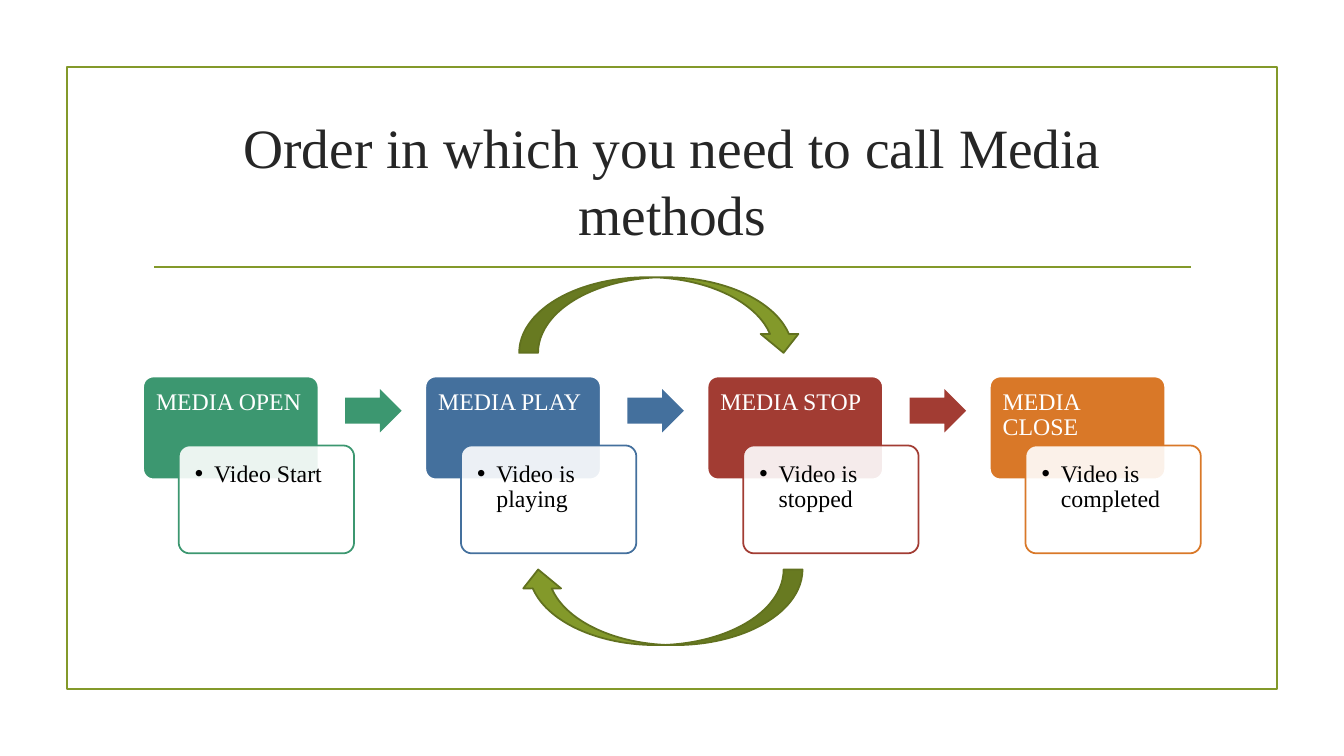
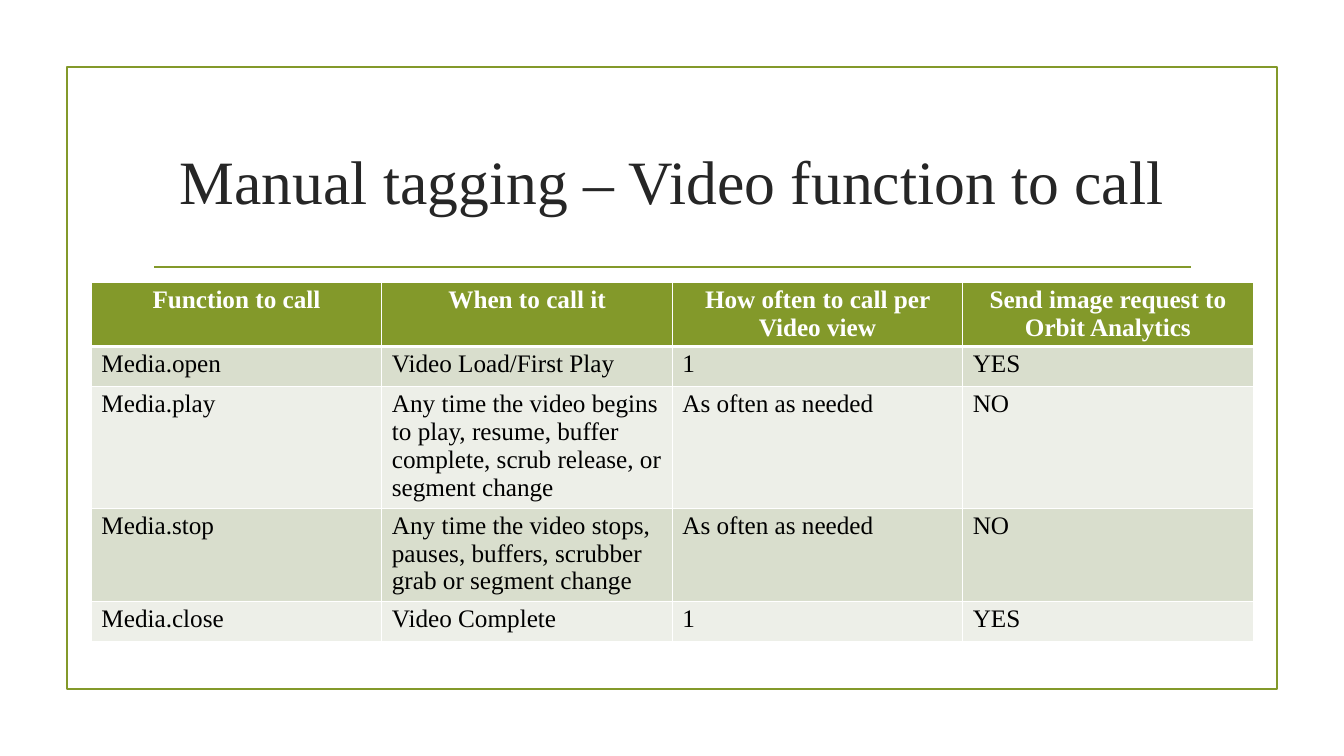
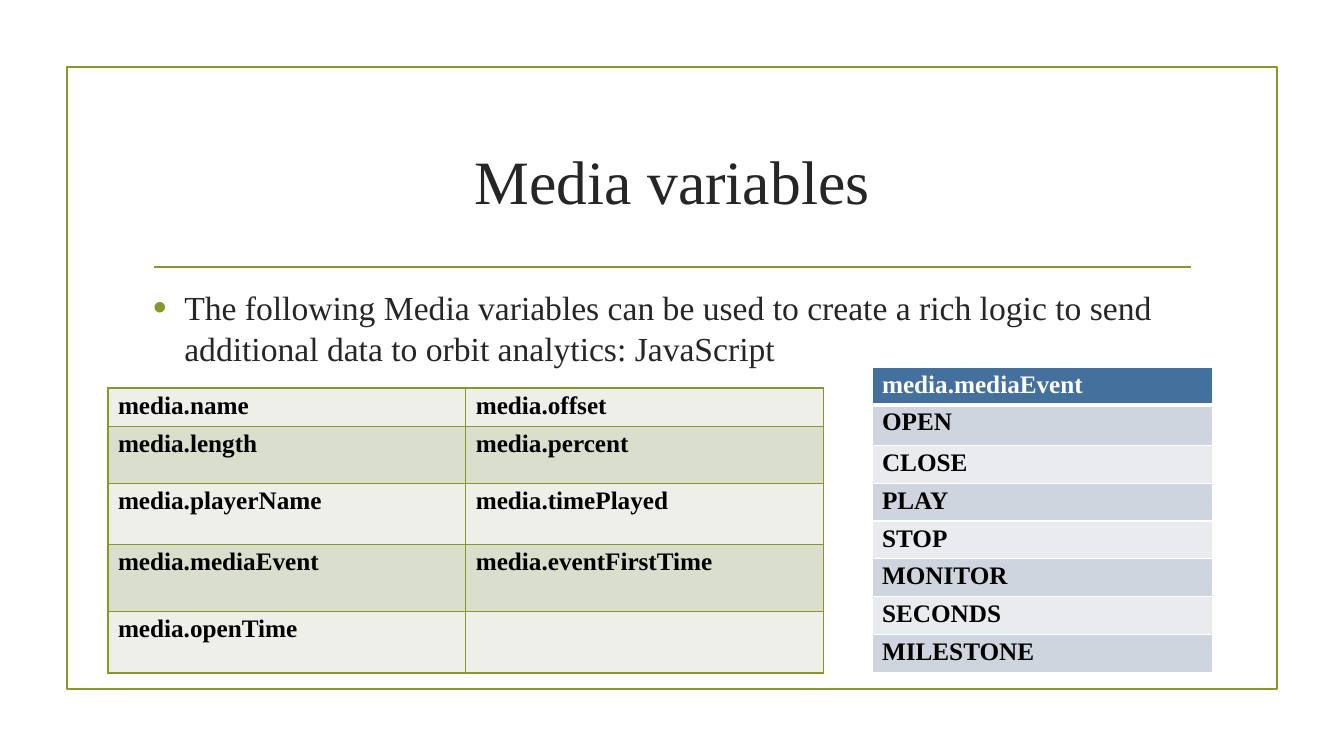
from lxml.etree import SubElement as Sub
from pptx import Presentation
from pptx.dml.color import RGBColor as RGB
from pptx.enum.shapes import MSO_CONNECTOR as CONN, MSO_SHAPE as SHAPE
from pptx.enum.text import MSO_ANCHOR as ANCHOR, PP_ALIGN as ALIGN
from pptx.oxml import parse_xml
from pptx.oxml.ns import nsdecls, qn
from pptx.util import Inches, Pt

FONT = "Times New Roman"
OLIVE = RGB(0x83, 0x99, 0x2A)
DARK_OLIVE = RGB(0x61, 0x71, 0x1F)
GREEN = RGB(0x3C, 0x97, 0x70)
BLUE = RGB(0x44, 0x70, 0x9D)
RED = RGB(0xA2, 0x3C, 0x33)
ORANGE = RGB(0xD9, 0x78, 0x28)
INK = RGB(0x26, 0x26, 0x26)
BLACK = RGB(0, 0, 0)
WHITE = RGB(0xFF, 0xFF, 0xFF)
OLIVE_BANDS = RGB(0xD9, 0xDE, 0xCD), RGB(0xED, 0xEF, 0xE8)
BLUE_BANDS = RGB(0xCF, 0xD5, 0xDF), RGB(0xE9, 0xEB, 0xEF)

prs = Presentation()
prs.slide_width, prs.slide_height = Inches(13.33), Inches(7.5)
W, H = prs.slide_width, prs.slide_height


def box(x, y, w, h):
    return int(W * x / 100), int(H * y / 100), int(W * w / 100), int(H * h / 100)


def write(p, text, size, color, bold=False, indent=0, bullet=None, bullet_size=100):
    p.text = text
    p.font.name, p.font.size, p.font.bold = FONT, Pt(size), bold
    p.font.color.rgb = color
    if bullet is not None:
        pPr = p._p.get_or_add_pPr()
        pPr.set("marL", str(Inches(indent)))
        pPr.set("indent", str(-Inches(indent)))
        for tag in (
            f'<a:buClr {nsdecls("a")}><a:srgbClr val="{bullet}"/></a:buClr>',
            f'<a:buSzPct {nsdecls("a")} val="{bullet_size * 1000}"/>',
            f'<a:buFont {nsdecls("a")} typeface="Arial"/>',
            f'<a:buChar {nsdecls("a")} char="•"/>',
        ):
            pPr.find(qn("a:defRPr")).addprevious(parse_xml(tag))


layout = prs.slide_layouts[5]
titles = [
    ("Order in which you need to call Media methods", 39.6),
    ("Manual tagging – Video function to call", 44),
    ("Media variables", 44),
]
slides = []
for text, size in titles:
    s = prs.slides.add_slide(layout)
    title = s.shapes.title
    title.left, title.top, title.width, title.height = box(10.65, 14.27, 78.75, 19.07)
    tf = title.text_frame
    tf.word_wrap, tf.vertical_anchor = True, ANCHOR.MIDDLE
    write(tf.paragraphs[0], text, size, INK)
    tf.paragraphs[0].alignment = ALIGN.CENTER
    slides.append(s)
order, calls, variables = slides

frame = order.shapes.add_shape(SHAPE.RECTANGLE, *box(4.97, 8.9, 90.03, 82.3))
frame.shadow.inherit = False
frame.fill.background()
left, top, width, _ = box(11.48, 35.33, 77.15, 0)
rule = order.shapes.add_connector(CONN.STRAIGHT, left, top, left + width, top)
Sub(rule._element.spPr, qn("a:effectLst"))
for sp in (frame, rule):
    sp.line.color.rgb, sp.line.width = OLIVE, Pt(1.25)
    layout.shapes.element.append(sp._element)

steps = [
    ("MEDIA OPEN", "Video Start", GREEN),
    ("MEDIA PLAY", "Video is playing", BLUE),
    ("MEDIA STOP", "Video is stopped", RED),
    ("MEDIA CLOSE", "Video is completed", ORANGE),
]
for i, (method, state, color) in enumerate(steps):
    x = 10.65 + 21 * i
    head = order.shapes.add_shape(SHAPE.ROUNDED_RECTANGLE, *box(x, 49.8, 13.05, 13.6))
    card = order.shapes.add_shape(SHAPE.ROUNDED_RECTANGLE, *box(x + 2.65, 58.93, 13.05, 14.27))
    for sp, fill, line, inset in ((head, color, WHITE, 0.1), (card, WHITE, color, 0.13)):
        sp.shadow.inherit = False
        sp.adjustments[0] = 0.1
        sp.fill.solid()
        sp.fill.fore_color.rgb = fill
        sp.line.color.rgb, sp.line.width = line, Pt(1.25)
        tf = sp.text_frame
        tf.word_wrap, tf.vertical_anchor = True, ANCHOR.TOP
        tf.margin_left = tf.margin_right = tf.margin_top = tf.margin_bottom = Inches(inset)
        tf.paragraphs[0].alignment = ALIGN.LEFT
        tf.paragraphs[0].line_spacing = 0.9
    write(head.text_frame.paragraphs[0], method, 17, WHITE)
    write(card.text_frame.paragraphs[0], state, 17, BLACK, indent=0.19, bullet=BLACK)
    Sub(card._element.spPr.find(".//" + qn("a:srgbClr")), qn("a:alpha"), val="90000")
    if i < len(steps) - 1:
        arrow = order.shapes.add_shape(SHAPE.RIGHT_ARROW, *box(x + 15.03, 51.47, 4.2, 5.73))
        arrow.shadow.inherit = False
        arrow.adjustments[0] = 0.6
        arrow.fill.solid()
        arrow.fill.fore_color.rgb = color
        arrow.line.fill.background()

for y, angle in ((36.67, 0), (75.33, 180)):
    loop = order.shapes.add_shape(SHAPE.CURVED_DOWN_ARROW, *box(38.63, y, 21.08, 10))
    loop.shadow.inherit = False
    loop.rotation = angle
    loop.fill.solid()
    loop.fill.fore_color.rgb = OLIVE
    loop.line.color.rgb, loop.line.width = DARK_OLIVE, Pt(1.25)

tf = variables.shapes.add_textbox(*box(10.65, 37.33, 78.75, 13)).text_frame
tf.word_wrap = True
write(
    tf.paragraphs[0],
    "The following Media variables can be used to create a rich logic to send "
    "additional data to orbit analytics: JavaScript",
    24, INK, indent=0.31, bullet=OLIVE, bullet_size=115,
)

call_rows = [
    ("Function to call", "When to call it", "How often to call per Video view",
     "Send image request to Orbit Analytics"),
    ("Media.open", "Video Load/First Play", "1", "YES"),
    ("Media.play", "Any time the video begins to play, resume, buffer complete, "
     "scrub release, or segment change", "As often as needed", "NO"),
    ("Media.stop", "Any time the video stops, pauses, buffers, scrubber grab or "
     "segment change", "As often as needed", "NO"),
    ("Media.close", "Video Complete", "1", "YES"),
]
variable_rows = [
    ("media.name", "media.offset"),
    ("media.length", "media.percent"),
    ("media.playerName", "media.timePlayed"),
    ("media.mediaEvent", "media.eventFirstTime"),
    ("media.openTime", ""),
]
events = ["media.mediaEvent", "OPEN", "CLOSE", "PLAY", "STOP", "MONITOR", "SECONDS", "MILESTONE"]
event_rows = [(event,) for event in events]
tables = [
    (calls, call_rows, (6.8, 37.33, 86.45), (8.5, 5.3, 16.1, 12.3, 5.4),
     OLIVE, OLIVE_BANDS, WHITE, False, ALIGN.CENTER),
    (variables, variable_rows, (8.03, 51.33, 53.25), (5.1, 7.5, 8.1, 8.9, 8.1),
     None, OLIVE_BANDS, OLIVE, True, ALIGN.LEFT),
    (variables, event_rows, (64.88, 48.6, 25.35), (4.8, 5.4) + (5,) * 6,
     BLUE, BLUE_BANDS, WHITE, True, ALIGN.LEFT),
]
for s, rows, place, heights, head_fill, bands, border, bold, head_align in tables:
    table = s.shapes.add_table(len(rows), len(rows[0]), *box(*place, sum(heights))).table
    table.first_row = head_fill is not None
    for r, (row, height) in enumerate(zip(rows, heights)):
        table.rows[r].height = int(H * height / 100)
        is_head = r == 0 and head_fill is not None
        for c, text in enumerate(row):
            cell = table.cell(r, c)
            cell.margin_top = cell.margin_bottom = Pt(2.5)
            cell.fill.solid()
            cell.fill.fore_color.rgb = head_fill if is_head else bands[(r + 1) % 2]
            p = cell.text_frame.paragraphs[0]
            write(p, text, 18, WHITE if is_head else BLACK, bold or is_head)
            p.alignment = head_align if is_head else ALIGN.LEFT
            thick_top = r == 1 and head_fill is not None
            widths = {"L": 1, "R": 1, "T": 3 if thick_top else 1, "B": 3 if is_head else 1}
            for n, (side, points) in enumerate(widths.items()):
                cell._tc.tcPr.insert(n, parse_xml(
                    f'<a:ln{side} {nsdecls("a")} w="{Pt(points)}"><a:solidFill>'
                    f'<a:srgbClr val="{border}"/></a:solidFill></a:ln{side}>'))

prs.save("out.pptx")
